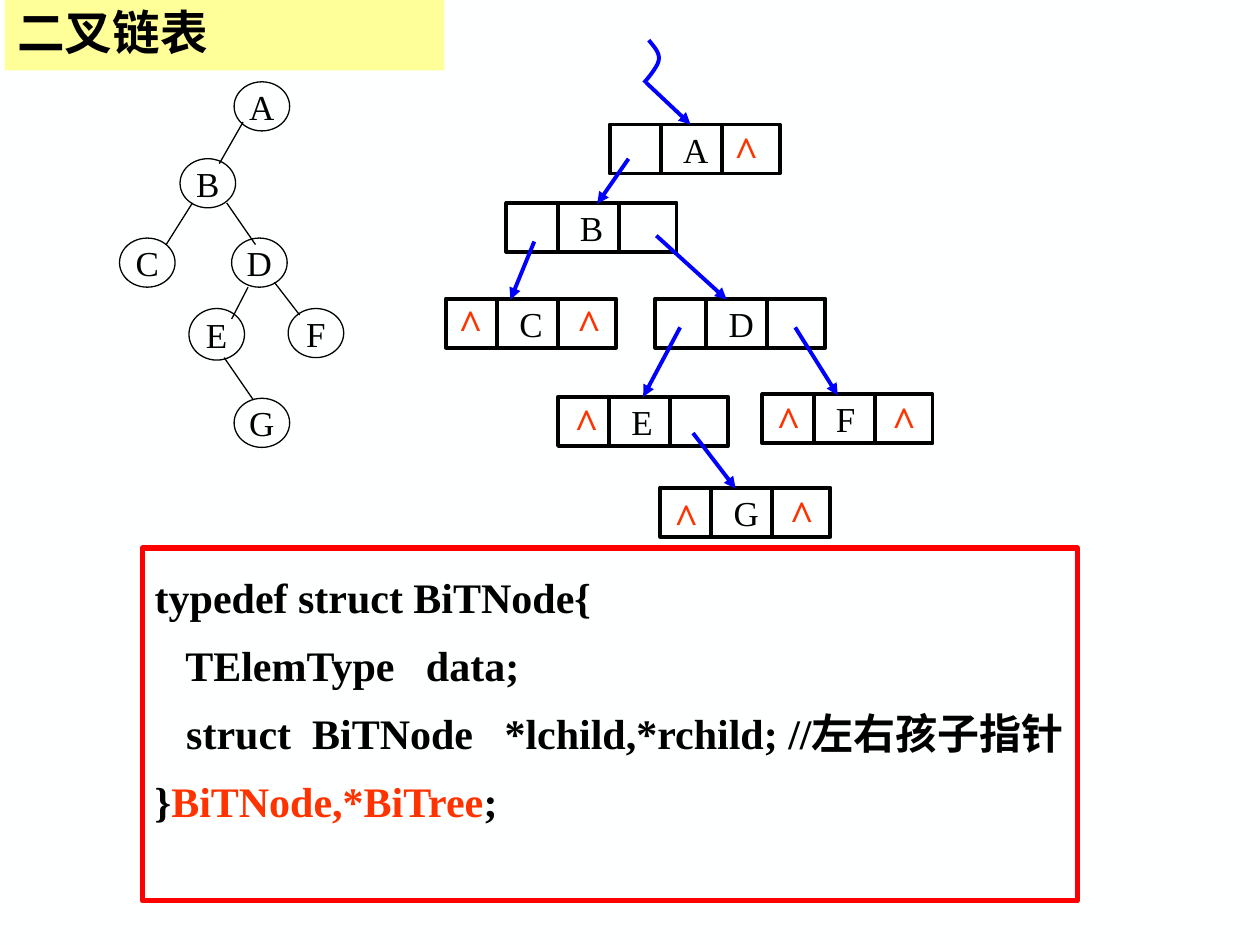
from lxml.etree import SubElement
from pptx import Presentation
from pptx.dml.color import RGBColor
from pptx.enum.shapes import MSO_CONNECTOR, MSO_SHAPE
from pptx.enum.text import MSO_ANCHOR, PP_ALIGN
from pptx.oxml.ns import qn
from pptx.util import Cm, Pt

COLORS = {
    "background": "FEFFFF",
    "title": "FFFF99",
    "ink": "000000",
    "pointer": "0000FF",
    "accent": "FF3300",
    "frame": "FF0000",
}
LATIN, CHINESE = "Times New Roman", "Noto Sans CJK SC"

TREE_NODES = {
    "A": (2.31, 0, 0.99),
    "B": (1.22, 1.55, 0.99),
    "C": (0, 3.15, 0.99),
    "D": (2.26, 3.15, 0.99),
    "E": (1.4, 4.57, 1.04),
    "F": (3.4, 4.57, 0.99),
    "G": (2.31, 6.38, 0.99),
}
TREE_EDGES = [
    (2.49, 0.81, 2.01, 1.65),
    (1.47, 2.44, 0.94, 3.28),
    (2.16, 2.44, 2.74, 3.28),
    (2.59, 4.14, 2.26, 4.78),
    (3.12, 4.04, 3.63, 4.7),
    (2.11, 5.56, 2.69, 6.4),
]
LIST_NODES = {
    "A": (3.3, 1.7, [(2.26, -0.13)]),
    "B": (1.22, 3.28, []),
    "C": (0, 5.21, [(0, -0.15), (2.39, -0.15)]),
    "D": (4.22, 5.21, []),
    "E": (2.26, 7.19, [(0.08, -0.13)]),
    "F": (6.38, 7.14, [(0.03, -0.13), (2.36, -0.13)]),
    "G": (4.32, 9.02, [(0.03, -0.05), (2.36, -0.1)]),
}
POINTERS = {
    "A": (4.04, 0.86, 4.93, 1.7),
    "B": (3.68, 2.39, 3.05, 3.3),
    "C": (1.78, 4.06, 1.3, 5.23),
    "D": (4.24, 3.94, 5.66, 5.23),
    "E": (4.72, 5.79, 3.94, 7.16),
    "F": (7.04, 5.79, 7.9, 7.16),
    "G": (4.98, 7.92, 5.84, 9.04),
}
HEAD_CURVES = [
    [(4.09, 0), (4.19, 0.13), (4.32, 0.25), (4.29, 0.41)],
    [(4.29, 0.41), (4.27, 0.53), (4.06, 0.79), (3.99, 0.86)],
]
CODE = [
    [("typedef struct BiTNode{", "ink")],
    [("   TElemType   data;", "ink")],
    [("   struct  BiTNode   *lchild,*rchild; //左右孩子指针", "ink")],
    [("}", "ink"), ("BiTNode,*BiTree", "accent"), (";", "ink")],
]


def rgb(name):
    return RGBColor.from_string(COLORS[name])


def style_span(span, size, color="ink", bold=False, font=LATIN):
    span.font.size = Pt(size)
    span.font.name = font
    span.font.bold = bold
    span.font.color.rgb = rgb(color)
    SubElement(span.font._element, qn("a:ea"), typeface=CHINESE)


def add_box(page, kind, left, top, width, height, line=None, weight=1, fill=None):
    box = page.shapes.add_shape(kind, Cm(left), Cm(top), Cm(width), Cm(height))
    box.shadow.inherit = False
    if fill:
        box.fill.solid()
        box.fill.fore_color.rgb = rgb(fill)
    else:
        box.fill.background()
    if line:
        box.line.color.rgb = rgb(line)
        box.line.width = Pt(weight)
    else:
        box.line.fill.background()
    box.text_frame.vertical_anchor = MSO_ANCHOR.MIDDLE
    return box


def write(box, text, size, align=PP_ALIGN.CENTER, wrap=False, **style):
    box.text_frame.word_wrap = wrap
    box.text_frame.vertical_anchor = MSO_ANCHOR.MIDDLE
    para = box.text_frame.paragraphs[0]
    para.text = text
    para.alignment = align
    style_span(para.runs[0], size, **style)
    return para


def add_line(page, left, top, ends, color, weight, arrow=False, target=None):
    x1, y1, x2, y2 = ends
    line = page.shapes.add_connector(
        MSO_CONNECTOR.STRAIGHT, Cm(left + x1), Cm(top + y1), Cm(left + x2), Cm(top + y2)
    )
    if target is not None:
        line.end_connect(target, 0)
    line.line.color.rgb = rgb(color)
    line.line.width = Pt(weight)
    if arrow:
        SubElement(line.line._get_or_add_ln(), qn("a:tailEnd"), type="triangle")
    SubElement(line._element.spPr, qn("a:effectLst"))


def add_tree(page, left, top):
    for letter, (x, y, height) in TREE_NODES.items():
        node = add_box(page, MSO_SHAPE.OVAL, left + x, top + y, 1.12, height, "ink", 0.75)
        write(node, letter, 20)
    for edge in TREE_EDGES:
        add_line(page, left, top, edge, "ink", 0.75)


def add_list_node(page, left, top, letter, nulls):
    height = 0.99
    node = add_box(page, MSO_SHAPE.RECTANGLE, left, top, 3.43, height, "ink", 2.25)
    node.text_frame.margin_left = Cm(1.48)
    write(node, letter, 20, PP_ALIGN.LEFT, True)
    for x in (1.03, 2.26):
        add_line(page, left, top, (x, 0, x, height), "ink", 2.25)
    for x, y in nulls:
        mark = page.shapes.add_textbox(Cm(left + x), Cm(top + y), Cm(0.99), Cm(1.27))
        write(mark, "^", 24, color="accent", bold=True)
    return node


def add_head_curve(page, left, top):
    points = []
    for curve in HEAD_CURVES:
        for step in range(13):
            t = step / 12
            weights = ((1 - t) ** 3, 3 * t * (1 - t) ** 2, 3 * t * t * (1 - t), t ** 3)
            x = sum(weight * point[0] for weight, point in zip(weights, curve))
            y = sum(weight * point[1] for weight, point in zip(weights, curve))
            points.append((Cm(left + x), Cm(top + y)))
    builder = page.shapes.build_freeform(*points[0])
    builder.add_line_segments(points[1:], close=False)
    curve = builder.convert_to_shape()
    curve.shadow.inherit = False
    curve.fill.background()
    curve.line.color.rgb = rgb("pointer")
    curve.line.width = Pt(2.25)


def add_linked_list(page, left, top):
    nodes = {
        letter: add_list_node(page, left + x, top + y, letter, nulls)
        for letter, (x, y, nulls) in LIST_NODES.items()
    }
    for letter, ends in POINTERS.items():
        target = nodes[letter] if letter == "E" else None
        add_line(page, left, top, ends, "pointer", 2.25, True, target)
    add_head_curve(page, left, top)


def add_title(page, left, top, width, height):
    box = add_box(page, MSO_SHAPE.RECTANGLE, left, top, width, height, fill="title")
    para = write(box, "二叉链表", 27.2, PP_ALIGN.LEFT, True, bold=True, font=CHINESE)
    para.line_spacing = 0.9


def add_code(page, left, top, width, height):
    box = add_box(page, MSO_SHAPE.RECTANGLE, left, top, width, height, "frame", 3)
    frame = box.text_frame
    frame.word_wrap = True
    frame.vertical_anchor = MSO_ANCHOR.TOP
    for index, parts in enumerate(CODE):
        para = frame.add_paragraph() if index else frame.paragraphs[0]
        para.alignment = PP_ALIGN.LEFT
        para.line_spacing = 1.35
        for text, color in parts:
            span = para.add_run()
            span.text = text
            style_span(span, 24, color, True)


def main():
    deck = Presentation()
    deck.slide_width, deck.slide_height = Cm(25.4), Cm(19.05)
    page = deck.slides.add_slide(deck.slide_layouts[6])
    page.background.fill.solid()
    page.background.fill.fore_color.rgb = rgb("background")
    add_tree(page, 2.41, 1.65)
    add_linked_list(page, 8.99, 0.81)
    add_title(page, 0.1, 0, 8.86, 1.42)
    add_code(page, 2.87, 11.05, 18.85, 7.11)
    deck.save("out.pptx")


if __name__ == "__main__":
    main()
